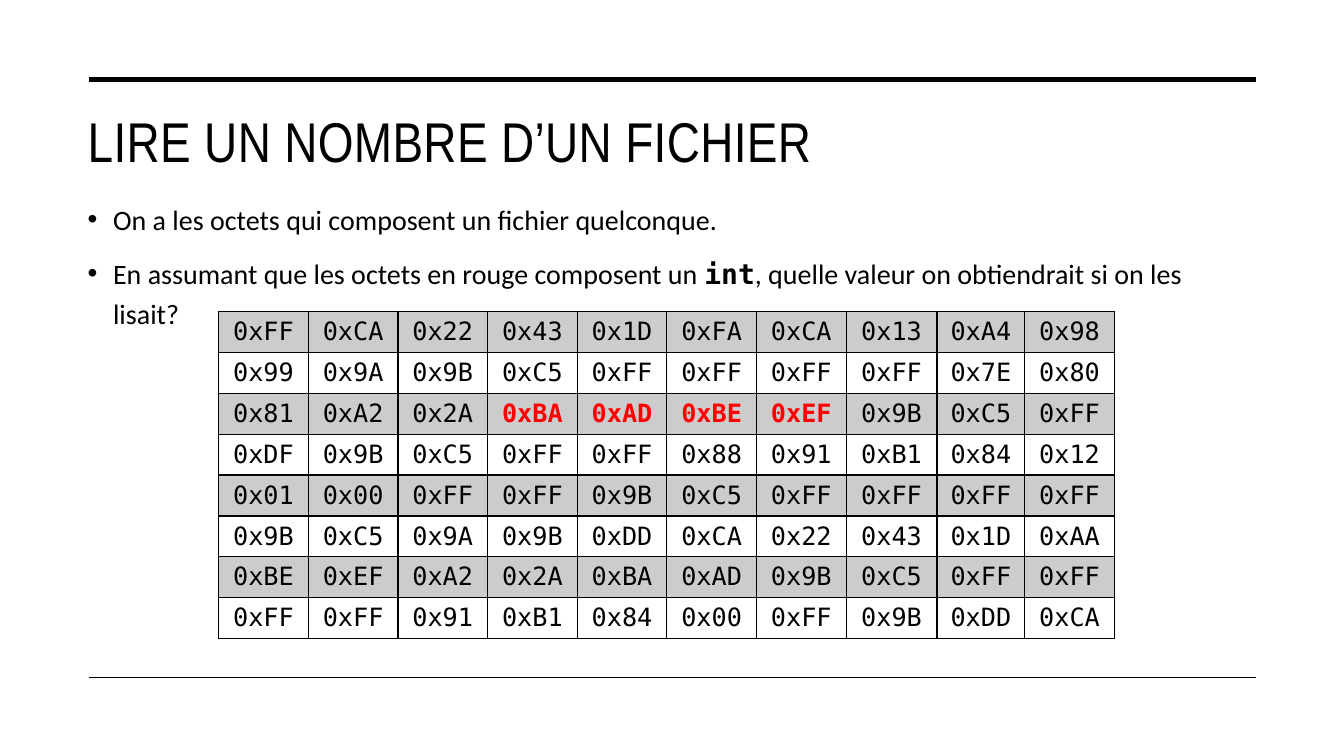
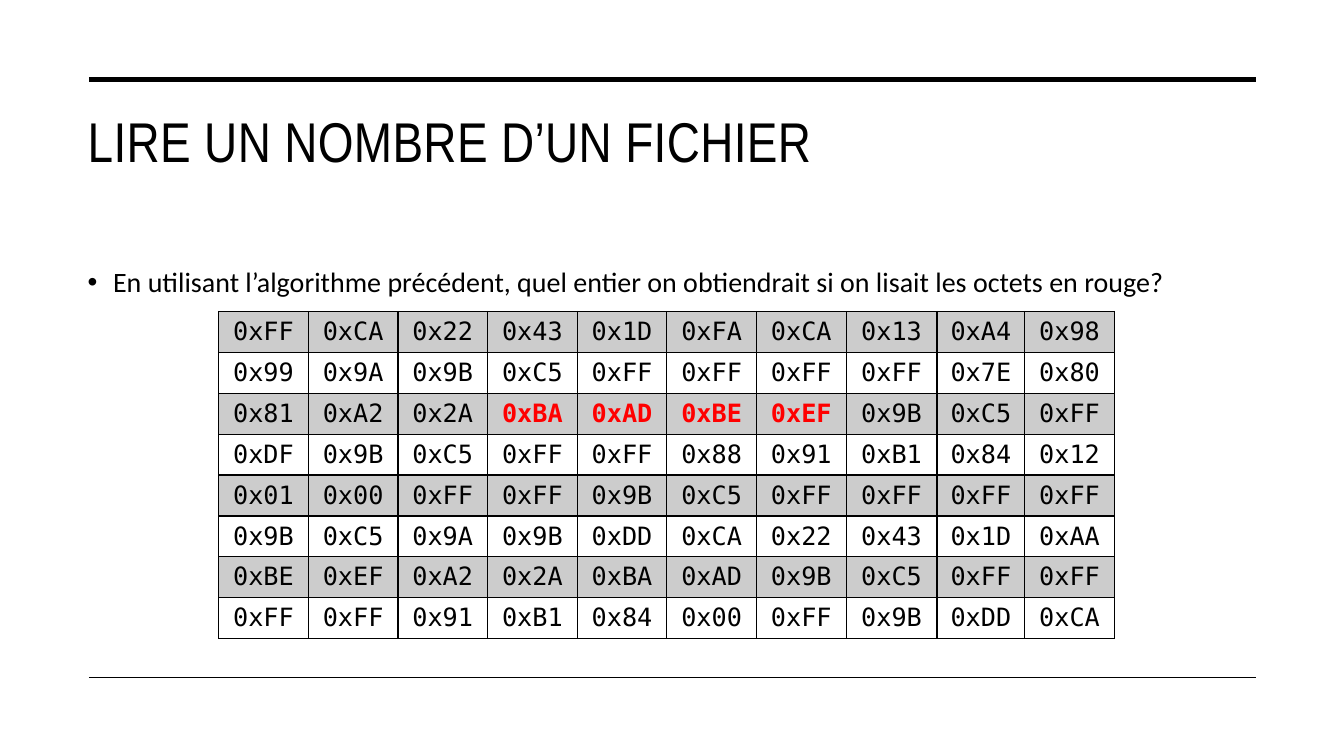
"""Build two slides on reading a number from the bytes of a file."""
from lxml import etree
from pptx import Presentation
from pptx.dml.color import RGBColor
from pptx.enum.shapes import MSO_CONNECTOR
from pptx.enum.text import MSO_ANCHOR, PP_ALIGN
from pptx.oxml import parse_xml
from pptx.oxml.ns import nsdecls, qn
from pptx.util import Cm, Pt

LINE = MSO_CONNECTOR.STRAIGHT
MIDDLE = MSO_ANCHOR.MIDDLE
CENTER = PP_ALIGN.CENTER
BLACK, RED = "000000", "FF0000"
HEAD, BODY, MONO = "Arial Narrow", "Calibri", "DejaVu Sans Mono"
LEFT, WIDTH = Cm(1.96), Cm(29.69)
RULES = [(2.01, 3.5), (17.07, 1)]
TITLE = "LIRE UN NOMBRE D’UN FICHIER"

SLIDES = [
    (4.8, 11.66, [
        [("On a les octets qui composent un fichier quelconque.", BODY)],
        [("En assumant que les octets en rouge composent un ", BODY),
         ("int", MONO),
         (", quelle valeur on obtiendrait si on les lisait?", BODY)],
    ]),
    (6.38, 10.11, [
        [("En utilisant l’algorithme précédent, quel entier on obtiendrait "
          "si on lisait les octets en rouge?", BODY)],
    ]),
]

BYTES = [row.split() for row in (
    "FF CA 22 43 1D FA CA 13 A4 98",
    "99 9A 9B C5 FF FF FF FF 7E 80",
    "81 A2 2A BA AD BE EF 9B C5 FF",
    "DF 9B C5 FF FF 88 91 B1 84 12",
    "01 00 FF FF 9B C5 FF FF FF FF",
    "9B C5 9A 9B DD CA 22 43 1D AA",
    "BE EF A2 2A BA AD 9B C5 FF FF",
    "FF FF 91 B1 84 00 FF 9B DD CA",
)]
MARKED = [(2, col) for col in range(3, 7)]
COLS = [2.26] * 7 + [2.29, 2.21, 2.26]
ROW = 1.03


def rgb(color):
    """Turn a hex string into a colour."""
    return RGBColor.from_string(color)


def write(para, text, font=BODY, size=20, color=BLACK, bold=False, gap=None):
    """Add a formatted run to a paragraph."""
    run = para.add_run()
    run.text = text
    run.font.name = font
    run.font.size = Pt(size)
    run.font.bold = bold
    run.font.color.rgb = rgb(color)
    if gap:
        run.font._element.set("spc", str(gap))


deck = Presentation()
deck.slide_width, deck.slide_height = Cm(33.87), Cm(19.05)

for top, height, points in SLIDES:
    slide = deck.slides.add_slide(deck.slide_layouts[6])
    shapes = slide.shapes

    for y, weight in RULES:
        rule = shapes.add_connector(LINE, Cm(2.24), Cm(y), Cm(31.65), Cm(y))
        rule.line.color.rgb = rgb(BLACK)
        rule.line.width = Pt(weight)
        etree.SubElement(rule._element.spPr, qn("a:effectLst"))

    title = shapes.add_textbox(LEFT, Cm(2.57), WIDTH, Cm(3.81)).text_frame
    title.word_wrap = True
    write(title.paragraphs[0], TITLE, font=HEAD, size=40, gap=30)

    body = shapes.add_textbox(LEFT, Cm(top), WIDTH, Cm(height)).text_frame
    body.word_wrap = True
    for i, runs in enumerate(points):
        para = body.add_paragraph() if i else body.paragraphs[0]
        props = para._p.get_or_add_pPr()
        props.set("marL", str(Cm(0.64)))
        props.set("indent", str(-Cm(0.64)))
        props.append(parse_xml(f'<a:buFont {nsdecls("a")} typeface="Arial"/>'))
        props.append(parse_xml(f'<a:buChar {nsdecls("a")} char="•"/>'))
        para.line_spacing = 1.2
        if i:
            para.space_before = Pt(10)
        for text, font in runs:
            write(para, text, font=font, bold=font == MONO)

    table = shapes.add_table(len(BYTES), len(COLS), Cm(5.51), Cm(7.85),
                             Cm(sum(COLS)), Cm(ROW * len(BYTES))).table
    table.first_row = table.horz_banding = False
    for col, width in zip(table.columns, COLS):
        col.width = Cm(width)
    for r, row in enumerate(BYTES):
        table.rows[r].height = Cm(ROW)
        for c, byte in enumerate(row):
            cell = table.cell(r, c)
            cell.vertical_anchor = MIDDLE
            para = cell.text_frame.paragraphs[0]
            para.alignment = CENTER
            mark = (r, c) in MARKED
            write(para, "0x" + byte, font=MONO, size=18, bold=mark,
                  color=RED if mark else BLACK)
            props = cell._tc.get_or_add_tcPr()
            for side in "LRTB":
                props.append(parse_xml(
                    f'<a:ln{side} {nsdecls("a")} w="{Pt(1)}"><a:solidFill>'
                    f'<a:srgbClr val="{BLACK}"/></a:solidFill></a:ln{side}>'))
            if r % 2:
                cell.fill.background()
            else:
                cell.fill.solid()
                cell.fill.fore_color.rgb = rgb(BLACK)
                tint = props.find(qn("a:solidFill")).find(qn("a:srgbClr"))
                etree.SubElement(tint, qn("a:alpha"), val="20000")

deck.save("out.pptx")
